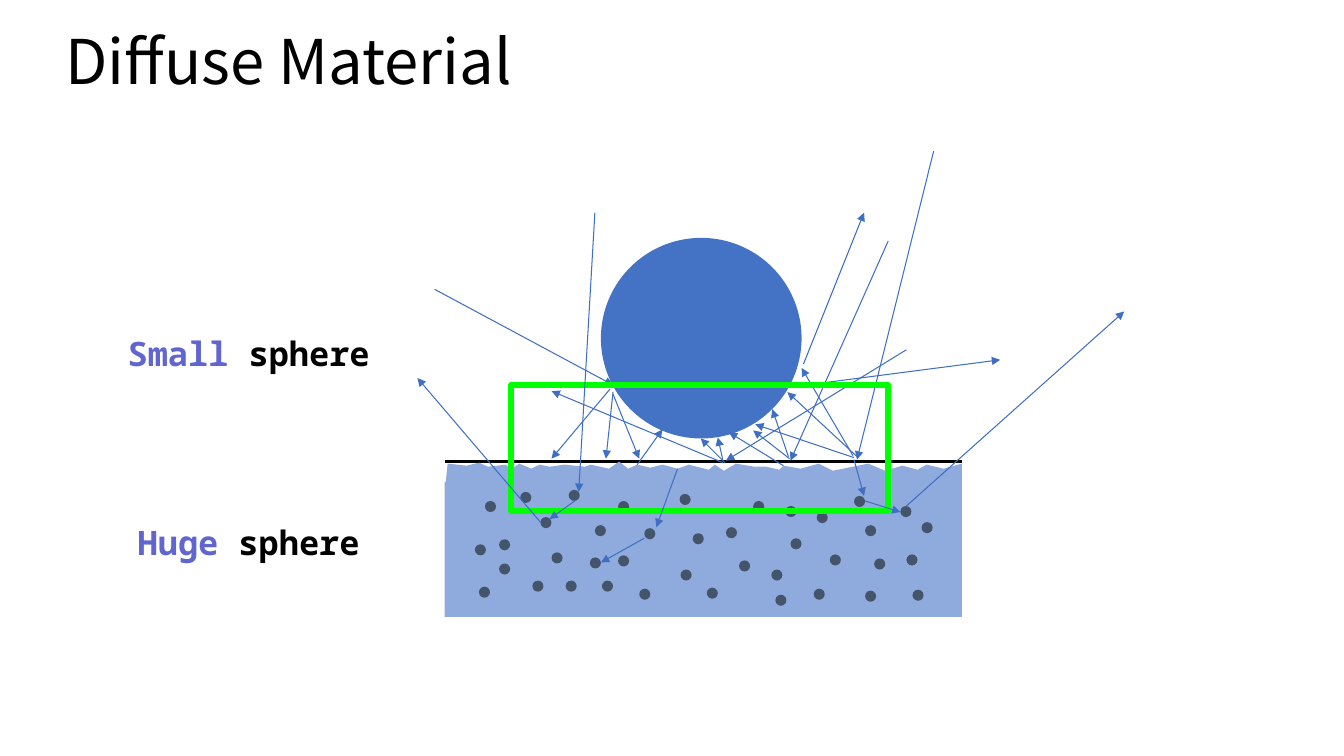
from lxml.etree import SubElement
from pptx import Presentation
from pptx.dml.color import RGBColor
from pptx.enum.shapes import MSO_CONNECTOR, MSO_SHAPE
from pptx.enum.text import MSO_ANCHOR, PP_ALIGN
from pptx.oxml.ns import qn
from pptx.util import Inches, Pt

BLACK = "000000"
ACCENT = "6065D0"
MEDIUM = "8FAADC"
PARTICLE = "44546A"
SPHERE = "4472C4"
RAY = "3F6FC3"
FRAME = "00FF00"
DOT_SIZE = 0.11

# Vertices of the rough top edge of the medium, closed along its underside.
SURFACE = [
    (4.42, 4.79), (4.44, 4.6), (4.63, 4.62), (4.75, 4.59), (4.84, 4.63),
    (5.02, 4.61), (5.06, 4.66), (5.15, 4.6), (5.27, 4.65), (5.35, 4.61),
    (5.45, 4.63), (5.6, 4.61), (5.8, 4.63), (5.86, 4.61), (6.04, 4.65),
    (6.14, 4.58), (6.18, 4.61), (6.23, 4.65), (6.32, 4.61), (6.45, 4.64),
    (6.57, 4.61), (6.72, 4.65), (6.83, 4.61), (7.03, 4.66), (7.09, 4.61),
    (7.18, 4.67), (7.3, 4.6), (7.48, 4.63), (7.6, 4.63), (7.73, 4.66),
    (7.77, 4.62), (7.94, 4.65), (8.12, 4.6), (8.26, 4.67), (8.61, 4.6),
    (8.78, 4.67), (8.95, 4.62), (9.1, 4.66), (9.19, 4.61), (9.36, 4.65),
    (9.54, 4.6), (9.54, 4.8),
]

# Left and top of each particle in the medium.
PARTICLES = [
    (4.95, 5.35), (5.36, 5.13), (5.61, 5.76), (5.28, 5.76), (5.47, 5.48),
    (5.9, 5.21), (6.13, 5.51), (5.97, 5.76), (5.85, 5.53), (6.13, 4.97),
    (6.39, 5.24), (6.34, 5.84), (4.75, 5.82), (4.95, 5.59), (4.71, 5.4),
    (4.81, 4.97), (5.16, 4.88), (5.64, 4.86), (6.74, 4.9), (6.87, 5.29),
    (6.75, 5.65), (7.01, 5.83), (7.33, 5.56), (7.2, 5.23), (7.47, 4.97),
    (7.79, 5.02), (7.84, 5.34), (7.65, 5.65), (7.69, 5.9), (8.07, 5.84),
    (8.23, 5.5), (8.1, 5.08), (8.47, 4.92), (8.58, 5.21), (8.67, 5.54),
    (8.58, 5.86), (9.05, 5.85), (8.99, 5.5), (9.14, 5.18), (8.93, 5.02),
]

# Start x, start y, end x, end y of each ray.
SURFACE_RAYS = [
    (4.31, 2.87, 6.08, 3.82), (6.05, 3.86, 5.47, 4.55),
    (6.08, 3.89, 6.01, 4.55), (6.08, 3.91, 6.34, 4.55),
    (8.99, 3.47, 7.2, 4.57), (7.19, 4.59, 6.95, 4.35),
    (7.17, 4.57, 7.12, 4.34), (7.17, 4.59, 5.47, 3.88),
    (8.81, 2.39, 7.84, 4.57), (7.82, 4.53, 7.66, 4.06),
    (7.83, 4.55, 7.47, 4.27), (7.77, 4.62, 7.23, 4.29),
    (9.26, 1.5, 8.5, 4.56), (8.5, 4.53, 7.81, 3.89),
    (8.47, 4.54, 7.49, 4.21), (8.46, 4.52, 7.95, 3.65),
    (7.97, 3.61, 8.57, 2.11), (7.84, 3.84, 9.92, 3.57),
    (6.32, 4.61, 6.57, 4.26),
]
SCATTERED_RAYS = [
    (5.36, 5.18, 4.14, 3.75), (6.72, 4.65, 6.51, 5.23),
    (6.39, 5.34, 5.96, 5.58), (5.9, 2.11, 5.74, 4.88),
    (5.7, 4.97, 5.45, 5.15), (8.99, 5.02, 11.15, 3.09),
    (8.58, 4.97, 8.93, 5.08), (8.47, 4.56, 8.57, 4.92),
]


def color(value):
    return RGBColor.from_string(value)


def paint(shape, fill):
    """Give a shape a flat fill without outline or shadow."""
    shape.shadow.inherit = False
    shape.fill.solid()
    shape.fill.fore_color.rgb = color(fill)
    shape.line.fill.background()


def add_filled(slide, kind, left, top, width, height, fill):
    shape = slide.shapes.add_shape(
        kind, Inches(left), Inches(top), Inches(width), Inches(height))
    paint(shape, fill)


def add_frame(slide, left, top, width, height):
    frame = slide.shapes.add_shape(
        MSO_SHAPE.RECTANGLE, Inches(left), Inches(top), Inches(width), Inches(height))
    frame.shadow.inherit = False
    frame.fill.background()
    frame.line.color.rgb = color(FRAME)
    frame.line.width = Pt(4.5)
    SubElement(frame.line._get_or_add_ln(), qn("a:round"))


def add_surface(slide):
    builder = slide.shapes.build_freeform(
        Inches(SURFACE[0][0]), Inches(SURFACE[0][1]))
    builder.add_line_segments([(Inches(x), Inches(y)) for x, y in SURFACE[1:]])
    paint(builder.convert_to_shape(), MEDIUM)


def add_line(slide, start_x, start_y, end_x, end_y, stroke, width, arrow=False):
    line = slide.shapes.add_connector(
        MSO_CONNECTOR.STRAIGHT,
        Inches(start_x), Inches(start_y), Inches(end_x), Inches(end_y))
    line.line.color.rgb = color(stroke)
    line.line.width = Pt(width)
    if arrow:
        SubElement(line.line._get_or_add_ln(), qn("a:tailEnd"), type="triangle")
    SubElement(line._element.spPr, qn("a:effectLst"))


def add_rays(slide, rays):
    for ray in rays:
        add_line(slide, *ray, RAY, 0.75, arrow=True)


def add_text(slide, left, top, width, height, runs, font_name, size, bold=False):
    """Add one paragraph made of (text, colour) runs and return its text frame."""
    box = slide.shapes.add_textbox(
        Inches(left), Inches(top), Inches(width), Inches(height))
    frame = box.text_frame
    frame.word_wrap = True
    paragraph = frame.paragraphs[0]
    paragraph.font.name = font_name
    paragraph.font.size = Pt(size)
    paragraph.font.bold = bold
    for text, run_color in runs:
        run = paragraph.add_run()
        run.text = text
        run.font.color.rgb = color(run_color)
    return frame


def add_title(slide, text):
    frame = add_text(slide, 0.55, 0.25, 11, 0.75, [(text, BLACK)],
                     "Noto Sans CJK KR", 44)
    frame.vertical_anchor = MSO_ANCHOR.BOTTOM
    frame.paragraphs[0].line_spacing = 0.8


def add_sphere_label(slide, top, size_word):
    frame = add_text(slide, 0.92, top, 3.09, 0.5,
                     [(size_word, ACCENT), (" sphere", BLACK)],
                     "Noto Sans Mono", 24, bold=True)
    frame.paragraphs[0].alignment = PP_ALIGN.CENTER


def main():
    presentation = Presentation()
    presentation.slide_width = Inches(13.33)
    presentation.slide_height = Inches(7.5)
    slide = presentation.slides.add_slide(presentation.slide_layouts[6])

    add_title(slide, "Diffuse Material")
    add_sphere_label(slide, 5.13, "Huge")
    add_filled(slide, MSO_SHAPE.RECTANGLE, 4.41, 4.78, 5.13, 1.34, MEDIUM)
    add_line(slide, 4.41, 4.58, 9.54, 4.58, BLACK, 2.25)
    add_surface(slide)
    for left, top in PARTICLES:
        add_filled(slide, MSO_SHAPE.OVAL, left, top, DOT_SIZE, DOT_SIZE, PARTICLE)
    add_filled(slide, MSO_SHAPE.OVAL, 5.96, 2.36, 1.99, 1.99, SPHERE)
    add_rays(slide, SURFACE_RAYS)
    add_sphere_label(slide, 3.25, "Small")
    add_frame(slide, 5.07, 3.82, 3.74, 1.25)
    add_rays(slide, SCATTERED_RAYS)

    presentation.save("out.pptx")


if __name__ == "__main__":
    main()
